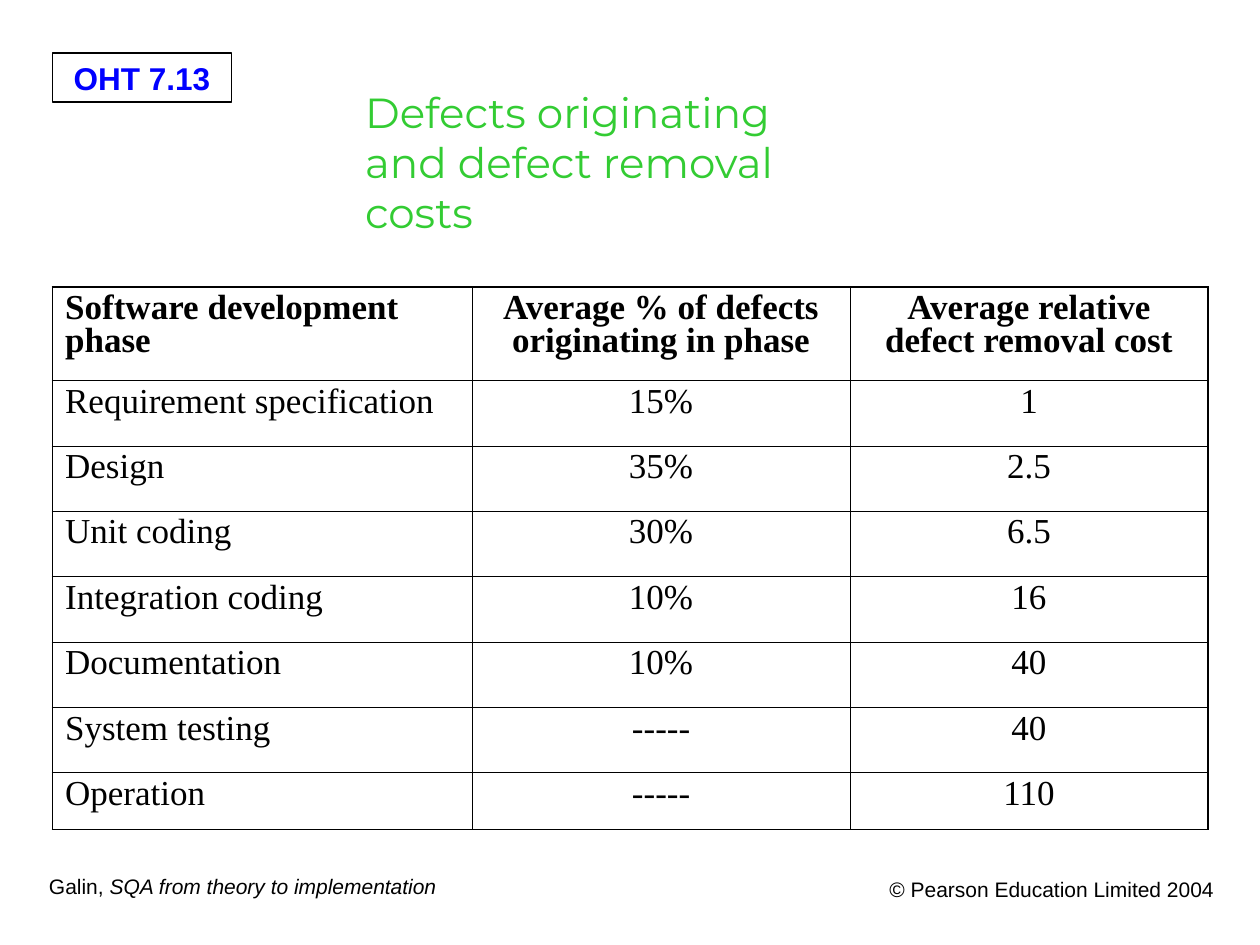
import pptx
import pptx.dml.color
import pptx.enum.shapes
import pptx.enum.text
import pptx.oxml.ns
import pptx.util
from lxml import etree

BLACK = pptx.dml.color.RGBColor(0, 0, 0)
BLUE = pptx.dml.color.RGBColor(0, 0, 255)
GREEN = pptx.dml.color.RGBColor(0x33, 0xCC, 0x33)
ALIGN = pptx.enum.text.PP_ALIGN
WIDE = pptx.util.Inches(10)
HIGH = pptx.util.Inches(7.5)
THICK, THIN = 1.08, 0.45
COLS = (33.3, 30, 28.4)
ROWS = (9.87,) + (6.92,) * 6 + (6,)
DATA = (
    ("Software development phase", "Average % of defects originating in phase",
     "Average relative defect removal cost"),
    ("Requirement specification", "15%", "1"),
    ("Design", "35%", "2.5"),
    ("Unit coding", "30%", "6.5"),
    ("Integration coding", "10%", "16"),
    ("Documentation", "10%", "40"),
    ("System testing", "-----", "40"),
    ("Operation", "-----", "110"),
)


def across(share):
    return round(WIDE * share / 100)


def down(share):
    return round(HIGH * share / 100)


def place(left, top, width, height):
    return across(left), down(top), across(width), down(height)


def write(frame, text, size=12, font="Arial", color=BLACK, bold=False,
          align=ALIGN.LEFT, space=None, wrap=True, slant=""):
    if wrap is not None:
        frame.word_wrap = wrap
    for row, line in enumerate(text.split("\n")):
        para = frame.add_paragraph() if row else frame.paragraphs[0]
        para.alignment = align
        para.line_spacing = space
        for part, tilt in ((line, False), (slant, True)):
            if part:
                run = para.add_run()
                run.text = part
                run.font.size = pptx.util.Pt(size)
                run.font.name = font
                run.font.color.rgb = color
                run.font.bold = bold
                run.font.italic = tilt


def label(slide, area, text, **form):
    box = slide.shapes.add_textbox(*place(*area))
    write(box.text_frame, text, **form)


def badge(slide, area, text):
    box = slide.shapes.add_shape(
        pptx.enum.shapes.MSO_SHAPE.RECTANGLE, *place(*area))
    box.shadow.inherit = False
    box.fill.background()
    box.line.color.rgb = BLACK
    box.line.width = pptx.util.Pt(0.75)
    box.text_frame.vertical_anchor = pptx.enum.text.MSO_ANCHOR.TOP
    write(box.text_frame, text, size=18, color=BLUE, bold=True,
          align=ALIGN.CENTER, wrap=False)


def border(cell, outer):
    props = cell._tc.get_or_add_tcPr()
    for rank, (side, edge) in enumerate(outer.items()):
        width = pptx.util.Pt(THICK if edge else THIN)
        line = etree.Element(pptx.oxml.ns.qn("a:ln" + side), w=str(width))
        fill = etree.SubElement(line, pptx.oxml.ns.qn("a:solidFill"))
        etree.SubElement(fill, pptx.oxml.ns.qn("a:srgbClr"), val=str(BLACK))
        props.insert(rank, line)


def grid(slide, left, top):
    area = place(left, top, sum(COLS), sum(ROWS))
    table = slide.shapes.add_table(len(ROWS), len(COLS), *area).table
    table.first_row = table.horz_banding = False
    for col, share in zip(table.columns, COLS):
        col.width = across(share)
    for row, share in zip(table.rows, ROWS):
        row.height = down(share)
    for r, line in enumerate(DATA):
        for c, text in enumerate(line):
            cell = table.cell(r, c)
            cell.fill.background()
            write(cell.text_frame, text, size=20, font="Times New Roman",
                  bold=r == 0, align=ALIGN.CENTER if c else ALIGN.LEFT,
                  space=0.85, wrap=None)
            border(cell, {"L": c == 0, "R": c == len(COLS) - 1,
                          "T": r == 0, "B": r == len(ROWS) - 1})


def main():
    deck = pptx.Presentation()
    deck.slide_width, deck.slide_height = WIDE, HIGH
    slide = deck.slides.add_slide(deck.slide_layouts[6])
    badge(slide, (4.17, 5.6, 14.2, 5.2), "OHT 7.13")
    label(slide, (2.9, 91.73, 32.8, 4), "Galin, ",
          slant="SQA from theory to implementation", wrap=False)
    label(slide, (66.35, 92.1, 31, 5.2), "© Pearson Education Limited 2004",
          align=ALIGN.RIGHT)
    grid(slide, 4.17, 30.4)
    label(slide, (28, 8.45, 43.7, 16.4),
          "Defects originating\nand defect removal costs",
          size=24, font="Montserrat", color=GREEN, wrap=False)
    deck.save("out.pptx")


if __name__ == "__main__":
    main()
